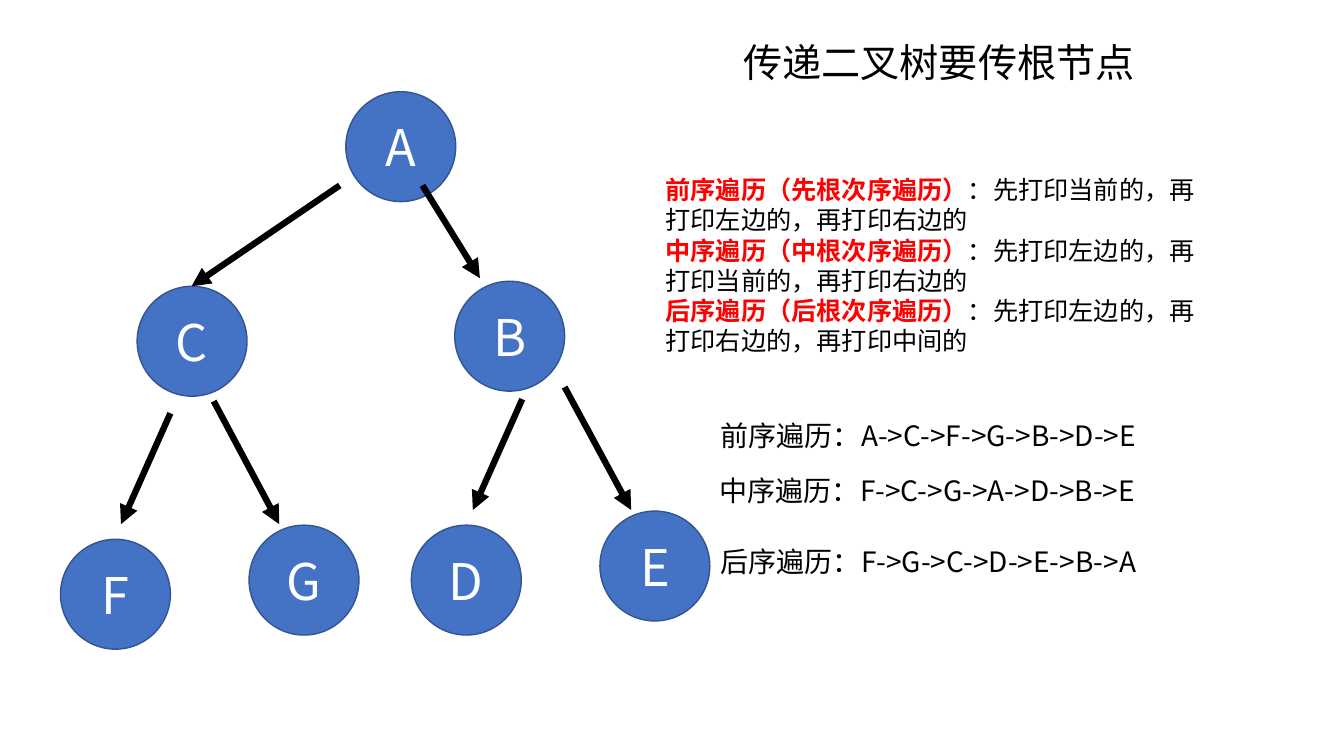
from pptx import Presentation
from pptx.dml.color import RGBColor
from pptx.enum.shapes import MSO_CONNECTOR, MSO_SHAPE
from pptx.enum.text import MSO_ANCHOR, MSO_AUTO_SIZE, PP_ALIGN
from pptx.oxml.ns import qn
from pptx.util import Inches, Pt
from lxml.etree import SubElement

FONT = "Noto Sans CJK SC"
COLORS = {"node": "4472C4", "outline": "325491", "label": "FFFFFF",
          "text": "000000", "term": "FF0000"}
NODE_SIZE = 1.09

TITLE = "传递二叉树要传根节点"
DEFINITIONS = [
    ("前序遍历（先根次序遍历）", "：先打印当前的，再打印左边的，再打印右边的"),
    ("中序遍历（中根次序遍历）", "：先打印左边的，再打印当前的，再打印右边的"),
    ("后序遍历（后根次序遍历）", "：先打印左边的，再打印右边的，再打印中间的"),
]
# text, left, top
RESULTS = [
    ("前序遍历：A->C->F->G->B->D->E", 7.05, 4.1),
    ("中序遍历：F->C->G->A->D->B->E", 7.04, 4.65),
    ("后序遍历：F->G->C->D->E->B->A", 7.05, 5.35),
]
# letter: left, top
NODES = {"A": (3.43, 0.91), "C": (1.36, 2.84), "B": (4.51, 2.79),
         "G": (2.47, 5.21), "F": (0.6, 5.35), "E": (5.95, 5.07), "D": (4.08, 5.21)}
# start x, start y, end x, end y
ARROWS = [
    (4.19, 1.84, 4.76, 2.76), (3.37, 1.84, 1.9, 2.84),
    (2.12, 3.98, 2.77, 5.2), (1.69, 4.1, 1.2, 5.2),
    (5.6, 3.84, 6.26, 5.06), (5.18, 3.96, 4.69, 5.06),
]


def color(name):
    return RGBColor.from_string(COLORS[name])


def write(shape, paragraphs, size, align=PP_ALIGN.LEFT, anchor=MSO_ANCHOR.TOP):
    """Fill a shape with paragraphs, each a list of (text, color name, bold) runs."""
    frame = shape.text_frame
    frame.word_wrap = True
    frame.auto_size = MSO_AUTO_SIZE.NONE
    frame.vertical_anchor = anchor
    for index, runs in enumerate(paragraphs):
        paragraph = frame.add_paragraph() if index else frame.paragraphs[0]
        paragraph.alignment = align
        paragraph.space_before = Pt(0)
        properties = paragraph._p.get_or_add_pPr()
        properties.set("marL", "0")
        properties.set("indent", "0")
        SubElement(properties, qn("a:buNone"))
        for text, color_name, bold in runs:
            run = paragraph.add_run()
            run.text = text
            run.font.size = Pt(size)
            run.font.bold = bold
            run.font.name = FONT
            run.font.color.rgb = color(color_name)
            SubElement(run._r.get_or_add_rPr(), qn("a:ea"), typeface=FONT)


def place(shape, left, top, width, height):
    shape.left, shape.top = Inches(left), Inches(top)
    shape.width, shape.height = Inches(width), Inches(height)


def add_node(slide, letter, left, top):
    node = slide.shapes.add_shape(MSO_SHAPE.OVAL, Inches(left), Inches(top),
                                  Inches(NODE_SIZE), Inches(NODE_SIZE))
    node.shadow.inherit = False
    node.fill.solid()
    node.fill.fore_color.rgb = color("node")
    node.line.color.rgb = color("outline")
    node.line.width = Pt(1)
    write(node, [[(letter, "label", False)]], 36, PP_ALIGN.CENTER, MSO_ANCHOR.MIDDLE)


def add_arrow(slide, *ends):
    arrow = slide.shapes.add_connector(MSO_CONNECTOR.STRAIGHT, *map(Inches, ends))
    arrow.line.color.rgb = color("text")
    arrow.line.width = Pt(4.5)
    SubElement(arrow.line._get_or_add_ln(), qn("a:tailEnd"), type="triangle")
    SubElement(arrow._element.spPr, qn("a:effectLst"))


def main():
    presentation = Presentation()
    presentation.slide_width = Inches(13.33)
    presentation.slide_height = Inches(7.5)
    slide = presentation.slides.add_slide(presentation.slide_layouts[1])
    title, body = slide.placeholders

    place(title, 7.27, 0.33, 4.53, 0.57)
    write(title, [[(TITLE, "text", False)]], 28)
    place(body, 6.5, 1.68, 5.48, 1.92)
    write(body, [[(term, "term", True), (meaning, "text", False)]
                 for term, meaning in DEFINITIONS], 18)

    for letter, position in NODES.items():
        add_node(slide, letter, *position)
    for ends in ARROWS:
        add_arrow(slide, *ends)
    for text, left, top in RESULTS:
        box = slide.shapes.add_textbox(Inches(left), Inches(top), Inches(5.32), Inches(0.44))
        write(box, [[(text, "text", False)]], 20)

    presentation.save("out.pptx")


if __name__ == "__main__":
    main()
